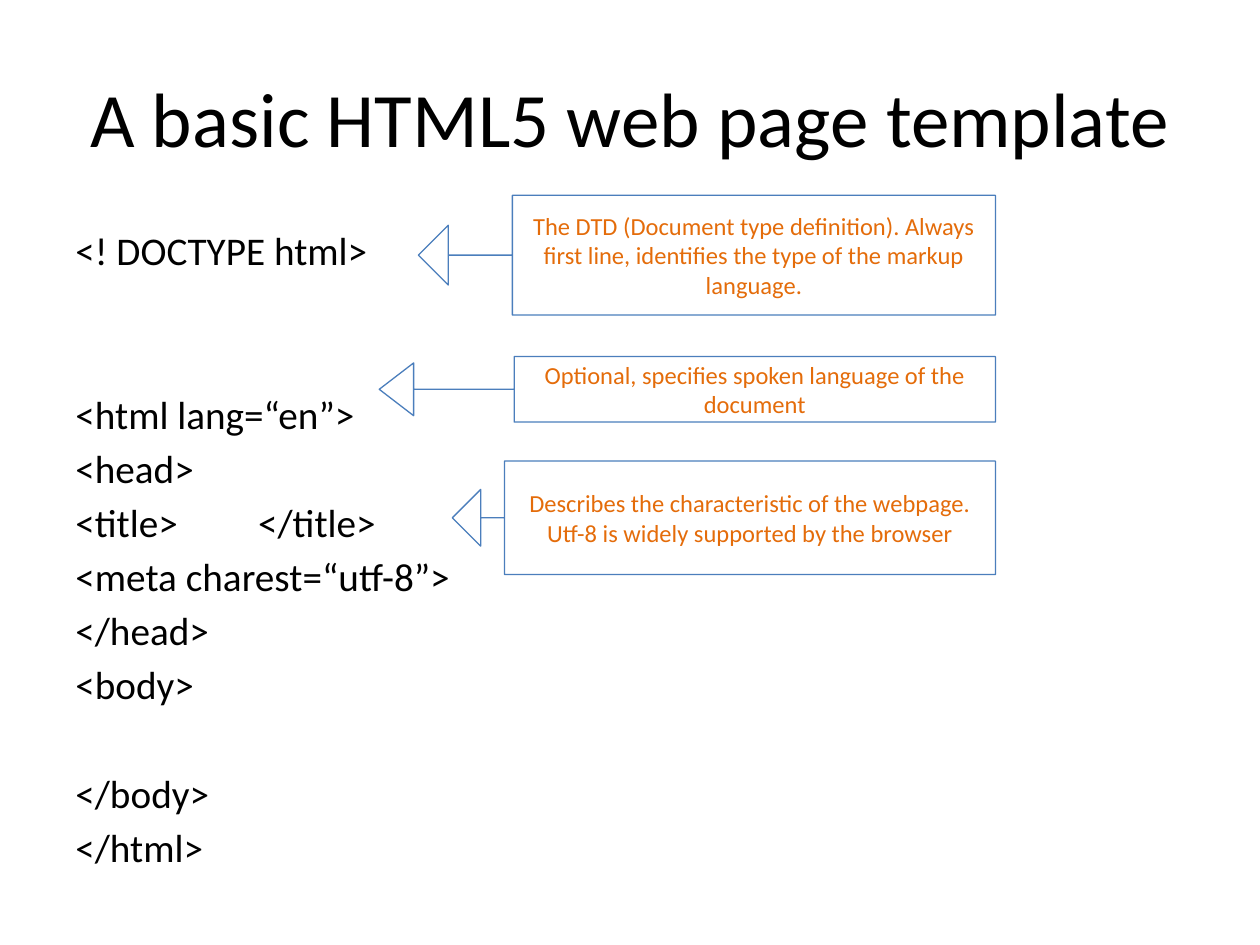
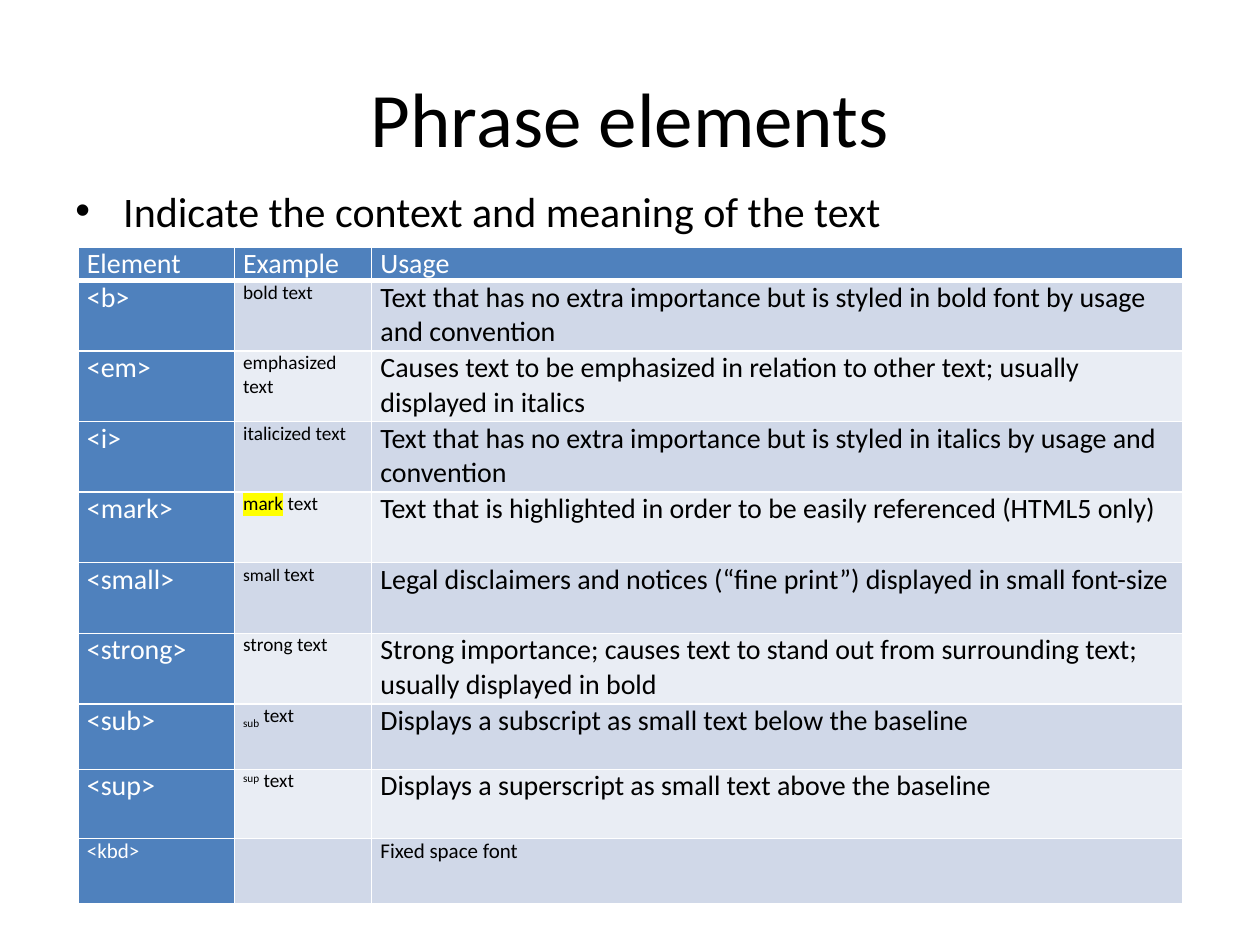
from lxml.etree import SubElement
from pptx import Presentation
from pptx.dml.color import RGBColor
from pptx.enum.shapes import MSO_SHAPE as Shape
from pptx.enum.text import MSO_ANCHOR as Anchor, PP_ALIGN as Align
from pptx.oxml.ns import qn
from pptx.util import Emu, Inches, Pt

FONT = "Calibri"
BLACK, WHITE, BLUE, ORANGE = "000000", "FFFFFF", "4F81BD", "E46C0A"
OUTLINE, YELLOW = "4B7EBC", "FFFF00"
BANDS = ("D0D8E8", "E9EDF4")

# The slide is a grid of 10 columns by 7.5 rows of square units.
UNIT = Inches(1)
COLUMNS, ROWS = 10, 7.5
MARGIN = 0.5
CONTENT_WIDTH = COLUMNS - 2 * MARGIN

CODE_SIZE, CODE_GAP, CODE_PITCH = 22.4, 4, 31.4
# Each entry: code line, number of empty lines above it
CODE_LINES = [
    ("<! DOCTYPE html>", 0),
    ("<html lang=“en”>", 2),
    ("<head>", 0),
    ("<title>\t</title>", 0),
    ("<meta charest=“utf-8”>", 0),
    ("</head>", 0),
    ("<body>", 0),
    ("</body>", 1),
    ("</html>", 0),
]

CALLOUT_RIGHT = 7.9
# Each entry: tip column, top, height, head half-width, head length, box share, text
CALLOUTS = [
    (3.32, 1.55, 0.95, 0.25, 0.25, 0.837,
     "The DTD (Document type definition). Always first line, identifies "
     "the type of the markup language."),
    (3.01, 2.83, 0.52, 0.403, 0.525, 0.781,
     "Optional, specifies spoken language of the document"),
    (3.59, 3.66, 0.9, 0.25, 0.25, 0.904,
     "Describes the characteristic of the webpage. Utf-8 is widely "
     "supported by the browser"),
]

TABLE_COLUMNS = (1.24, 1.09, 6.44)
TABLE_ROWS = (0.24, *[0.56] * 6, 0.52, 0.55, 0.52)
TABLE_HEADER = ("Element", "Example", "Usage")
# Each entry: element, runs of the example as (text, format), usage
PHRASES = [
    ("<b>", [("bold text", {})],
     "Text that has no extra importance but is styled in bold font by usage and convention"),
    ("<em>", [("emphasized text", {})],
     "Causes text to be emphasized in relation to other text; usually displayed in italics"),
    ("<i>", [("italicized text", {})],
     "Text that has no extra importance but is styled in italics by usage and convention"),
    ("<mark>", [("mark", {"highlight": YELLOW}), (" text", {})],
     "Text that is highlighted in order to be easily referenced (HTML5 only)"),
    ("<small>", [("small ", {"size": 10}), ("text", {})],
     "Legal disclaimers and notices (“fine print”) displayed in small font-size"),
    ("<strong>", [("strong text", {})],
     "Strong importance; causes text to stand out from surrounding text; "
     "usually displayed in bold"),
    ("<sub>", [("sub", {"baseline": -25}), (" text", {})],
     "Displays a subscript as small text below the baseline"),
    ("<sup>", [("sup", {"baseline": 30}), (" text", {})],
     "Displays a superscript as small text above the baseline"),
    ("<kbd>", [], "Fixed space font"),
]


def color(value):
    return RGBColor.from_string(value)


def units(*lengths):
    return [Emu(round(length * UNIT)) for length in lengths]


def set_attributes(target, values):
    for name, value in values.items():
        setattr(target, name, value)


def add_run(paragraph, text, size, ink=BLACK, highlight=None, baseline=0):
    """Add a run; baseline is a shift in percent of the text size."""
    run = paragraph.add_run()
    run.text = text
    set_attributes(run.font, {"name": FONT, "size": Pt(size), "bold": False})
    run.font.color.rgb = color(ink)
    properties = run.font._element
    if baseline:
        properties.set("baseline", str(baseline * 1000))
    if highlight:
        mark = SubElement(properties, qn("a:highlight"))
        SubElement(mark, qn("a:srgbClr"), val=highlight)
        properties.find(qn("a:solidFill")).addnext(mark)


def add_text_frame(slide, left, top, width, height, anchor=Anchor.TOP):
    frame = slide.shapes.add_textbox(*units(left, top, width, height)).text_frame
    set_attributes(frame, {"word_wrap": True, "vertical_anchor": anchor})
    return frame


def add_titled_slide(presentation, title):
    slide = presentation.slides.add_slide(presentation.slide_layouts[6])
    frame = add_text_frame(slide, MARGIN, 0.3, CONTENT_WIDTH, 1.25, Anchor.MIDDLE)
    paragraph = frame.paragraphs[0]
    paragraph.alignment = Align.CENTER
    add_run(paragraph, title, 44)
    return slide


def add_code(slide):
    frame = add_text_frame(slide, MARGIN, 1.75, CONTENT_WIDTH, 4.95)
    for index, (line, skipped) in enumerate(CODE_LINES):
        paragraph = frame.add_paragraph() if index else frame.paragraphs[0]
        paragraph.space_before = Pt(CODE_GAP + skipped * CODE_PITCH)
        if "\t" in line:
            tabs = SubElement(paragraph._p.get_or_add_pPr(), qn("a:tabLst"))
            SubElement(tabs, qn("a:tab"), pos=str(Inches(1.45)), algn="l")
        add_run(paragraph, line, CODE_SIZE)


def add_callout(slide, tip, top, height, half_head, head_length, box_share, text):
    shape = slide.shapes.add_shape(
        Shape.LEFT_ARROW_CALLOUT, *units(tip, top, CALLOUT_RIGHT - tip, height))
    shape.shadow.inherit = False
    shape.fill.background()
    shape.line.color.rgb = color(OUTLINE)
    shape.line.width = Pt(0.75)
    for index, value in enumerate((0, half_head, head_length, box_share)):
        shape.adjustments[index] = value
    set_attributes(shape.text_frame,
                   {"word_wrap": True, "vertical_anchor": Anchor.MIDDLE})
    paragraph = shape.text_frame.paragraphs[0]
    paragraph.alignment = Align.CENTER
    add_run(paragraph, text, 14, ORANGE)


def add_bullet(slide, text):
    frame = add_text_frame(slide, MARGIN, 1.42, CONTENT_WIDTH, 0.5)
    paragraph = frame.paragraphs[0]
    properties = paragraph._p.get_or_add_pPr()
    indent = Inches(0.38)
    properties.set("marL", str(indent))
    properties.set("indent", str(-indent))
    SubElement(properties, qn("a:buFont"), typeface="Arial")
    SubElement(properties, qn("a:buChar"), char="•")
    add_run(paragraph, text, 24)


def fill_cell(cell, fill, runs, size, ink, bottom_width=1):
    side = Inches(0.07)
    set_attributes(cell, {"margin_left": side, "margin_right": side,
                          "margin_top": 0, "margin_bottom": 0})
    properties = cell._tc.get_or_add_tcPr()
    for edge, width in zip("LRTB", (1, 1, 1, bottom_width)):
        line = SubElement(properties, qn(f"a:ln{edge}"), w=str(Pt(width)))
        SubElement(SubElement(line, qn("a:solidFill")), qn("a:srgbClr"), val=WHITE)
    cell.fill.solid()
    cell.fill.fore_color.rgb = color(fill)
    for text, changes in runs:
        add_run(cell.text_frame.paragraphs[0], text,
                **{"size": size, "ink": ink, **changes})


def add_phrase_table(slide):
    table = slide.shapes.add_table(
        len(TABLE_ROWS), len(TABLE_COLUMNS),
        *units(0.62, 1.96, sum(TABLE_COLUMNS), sum(TABLE_ROWS))).table
    table.horz_banding = False
    for column, width in zip(table.columns, units(*TABLE_COLUMNS)):
        column.width = width
    for row, height in zip(table.rows, units(*TABLE_ROWS)):
        row.height = height
    for index, heading in enumerate(TABLE_HEADER):
        fill_cell(table.cell(0, index), BLUE, [(heading, {})], 16, WHITE, bottom_width=3)
    for row, (element, example, usage) in enumerate(PHRASES, 1):
        band = BANDS[(row - 1) % 2]
        size = 12 if row == len(PHRASES) else 16
        fill_cell(table.cell(row, 0), BLUE, [(element, {})], size, WHITE)
        fill_cell(table.cell(row, 1), band, example, 11, BLACK)
        fill_cell(table.cell(row, 2), band, [(usage, {})], size, BLACK)


def main():
    presentation = Presentation()
    width, height = units(COLUMNS, ROWS)
    set_attributes(presentation, {"slide_width": width, "slide_height": height})

    template_slide = add_titled_slide(presentation, "A basic HTML5 web page template")
    add_code(template_slide)
    for callout in CALLOUTS:
        add_callout(template_slide, *callout)

    phrase_slide = add_titled_slide(presentation, "Phrase elements")
    add_bullet(phrase_slide, "Indicate the context and meaning of the text")
    add_phrase_table(phrase_slide)

    presentation.save("out.pptx")


if __name__ == "__main__":
    main()
